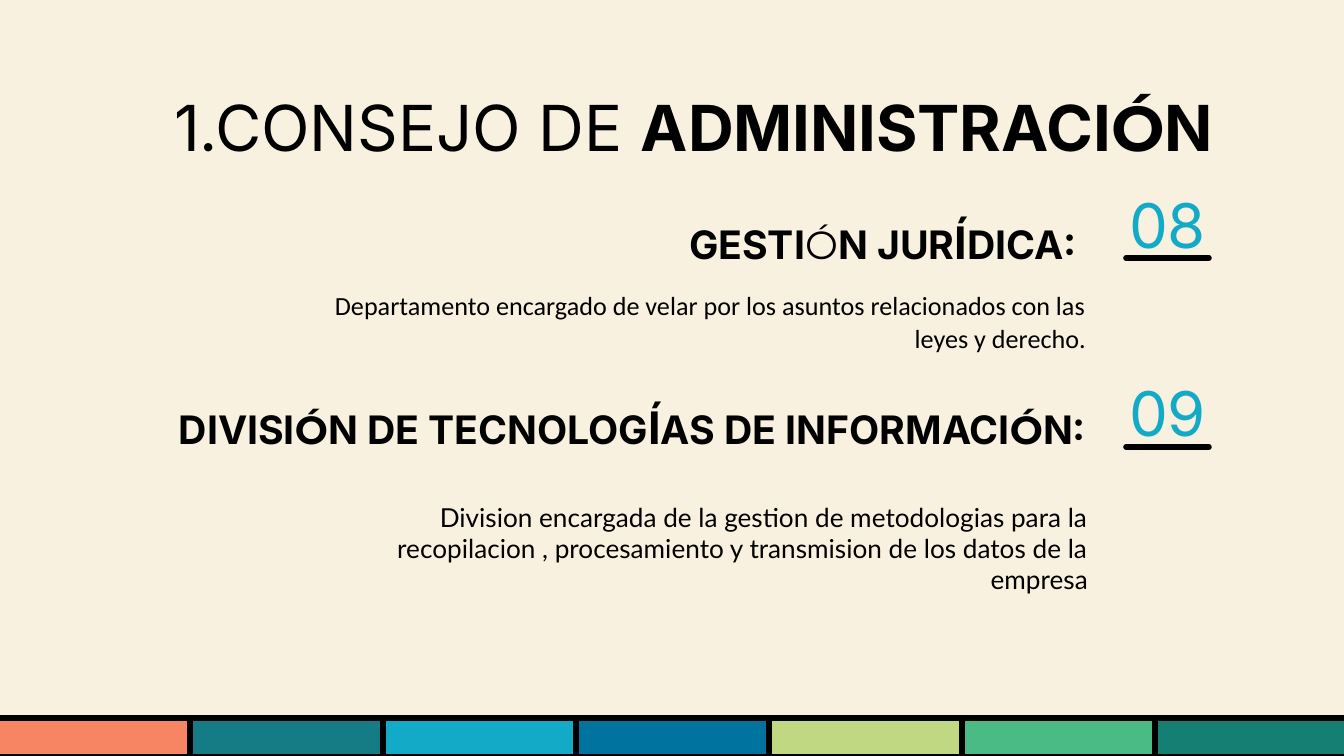
from dataclasses import dataclass

from lxml.etree import SubElement
from pptx import Presentation
from pptx.dml.color import RGBColor
from pptx.enum.shapes import MSO_CONNECTOR, MSO_SHAPE
from pptx.enum.text import MSO_ANCHOR, PP_ALIGN
from pptx.oxml.ns import qn
from pptx.util import Emu, Pt

PAGE_WIDTH, PAGE_HEIGHT = 1344, 756
SCALE = 9144000 / PAGE_WIDTH

CREAM = RGBColor(0xF8, 0xF1, 0xDF)
BLACK = RGBColor(0x00, 0x00, 0x00)
CYAN = RGBColor(0x13, 0xAA, 0xC7)
BAND_COLOURS = [
    RGBColor(0xF7, 0x85, 0x63),
    RGBColor(0x15, 0x7C, 0x85),
    CYAN,
    RGBColor(0x01, 0x73, 0x9F),
    RGBColor(0xC0, 0xD8, 0x82),
    RGBColor(0x4A, 0xBB, 0x85),
    RGBColor(0x15, 0x7F, 0x73),
]
BAND_LEFT, BAND_TOP, BAND_STEP, BAND_HEIGHT = -3, 718, 193, 39
INSET = 13


@dataclass(frozen=True)
class Span:
    text: str
    size: int
    font: str = "Inter"
    bold: bool = False
    colour: RGBColor = BLACK


@dataclass(frozen=True)
class Label:
    left: int
    top: int
    width: int
    height: int
    spans: tuple[Span, ...]
    align: PP_ALIGN = PP_ALIGN.RIGHT
    anchor: MSO_ANCHOR = MSO_ANCHOR.TOP
    margin: int = 0
    indent: int = 0
    line_spacing: float = 1.0
    space_after: int = 0


@dataclass(frozen=True)
class Marker:
    number: str
    top: int
    rule_y: int


LABELS = [
    Label(91, 75, 1135, 85, (
        Span("1.CONSEJO DE ", 34),
        Span("ADMINISTRACI", 34, bold=True),
        Span("Ó", 34, "Montserrat", True),
        Span("N", 34, bold=True),
    )),
    Label(116, 387, 983, 140, (
        Span("DIVISI", 21, bold=True),
        Span("Ó", 21, "Montserrat", True),
        Span("N DE TECNOLOG", 21, bold=True),
        Span("Í", 24, bold=True),
        Span("AS DE INFORMACI", 21, bold=True),
        Span("Ó", 21, "Montserrat", True),
        Span("N:", 21, bold=True),
    )),
    Label(493, 202, 606, 51, (
        Span("GESTI", 21, bold=True),
        Span("Ó", 21, "Montserrat"),
        Span("N JUR", 21, bold=True),
        Span("Í", 24, bold=True),
        Span("DICA: ", 21, bold=True),
    )),
    Label(284, 274, 815, 93, (
        Span("Departamento encargado de velar por los asuntos relacionados con las "
             "leyes y derecho.", 14, "Calibri"),
    ), margin=67, indent=-51, line_spacing=1.07, space_after=8),
    Label(284, 488, 817, 122, (
        Span("Division encargada de la gestion de metodologias para la recopilacion , "
             "procesamiento y transmision de los datos de la empresa", 14, "Lato"),
    ), margin=67, indent=-51),
]
MARKERS = [Marker("08", 194, 258), Marker("09", 382, 447)]


def px(value: int) -> Emu:
    return Emu(round(value * SCALE))


def draw_label(page, label: Label) -> None:
    box = page.shapes.add_textbox(
        px(label.left), px(label.top), px(label.width), px(label.height))
    frame = box.text_frame
    frame.word_wrap = True
    frame.vertical_anchor = label.anchor
    frame.margin_left = frame.margin_right = px(INSET)
    frame.margin_top = frame.margin_bottom = px(INSET)
    para = frame.paragraphs[0]
    para.alignment = label.align
    para.line_spacing = label.line_spacing
    para.space_after = Pt(label.space_after)
    properties = para._p.get_or_add_pPr()
    properties.set("marL", str(px(label.margin)))
    properties.set("indent", str(px(label.indent)))
    for span in label.spans:
        run = para.add_run()
        run.text = span.text
        run.font.size = Pt(span.size)
        run.font.name = span.font
        run.font.bold = span.bold
        run.font.color.rgb = span.colour


def draw_marker(page, marker: Marker) -> None:
    draw_label(page, Label(
        1109, marker.top, 117, 60, (Span(marker.number, 33, colour=CYAN),),
        PP_ALIGN.CENTER, MSO_ANCHOR.MIDDLE))
    rule = page.shapes.add_connector(
        MSO_CONNECTOR.STRAIGHT,
        px(1126), px(marker.rule_y), px(1209), px(marker.rule_y))
    rule.line.color.rgb = BLACK
    rule.line.width = Pt(3)
    rule.line._get_or_add_ln().set("cap", "rnd")
    SubElement(rule._element.spPr, qn("a:effectLst"))


def draw_band(page, index: int, colour: RGBColor) -> None:
    block = page.shapes.add_shape(
        MSO_SHAPE.RECTANGLE, px(BAND_LEFT + index * BAND_STEP), px(BAND_TOP),
        px(BAND_STEP), px(BAND_HEIGHT))
    block.shadow.inherit = False
    block.fill.solid()
    block.fill.fore_color.rgb = colour
    block.line.color.rgb = BLACK
    block.line.width = Pt(3)


def main() -> None:
    deck = Presentation()
    deck.slide_width = px(PAGE_WIDTH)
    deck.slide_height = px(PAGE_HEIGHT)
    page = deck.slides.add_slide(deck.slide_layouts[6])
    page.background.fill.solid()
    page.background.fill.fore_color.rgb = CREAM
    for index, colour in enumerate(BAND_COLOURS):
        draw_band(page, index, colour)
    for label in LABELS:
        draw_label(page, label)
    for marker in MARKERS:
        draw_marker(page, marker)
    deck.save("out.pptx")


if __name__ == "__main__":
    main()
